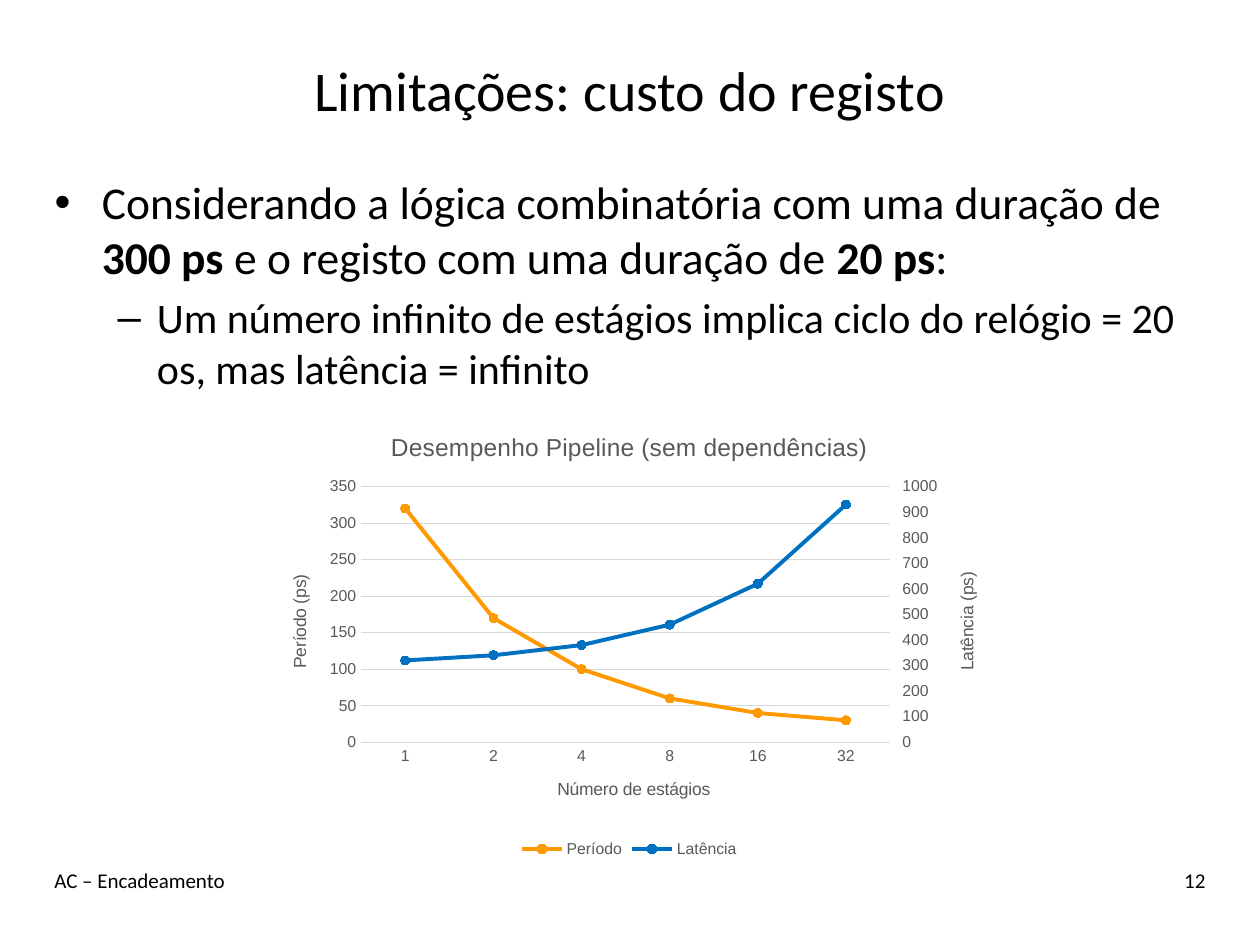
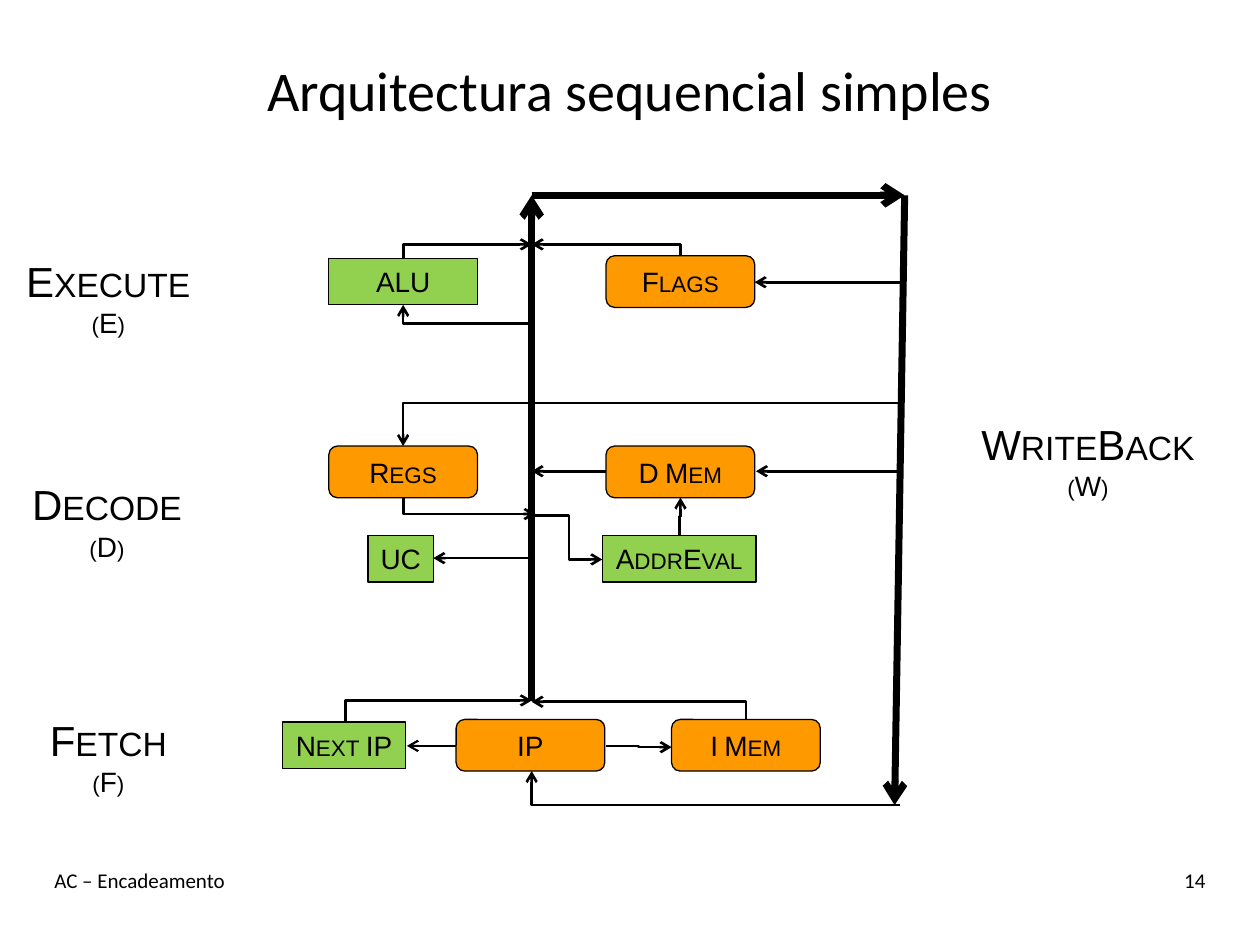
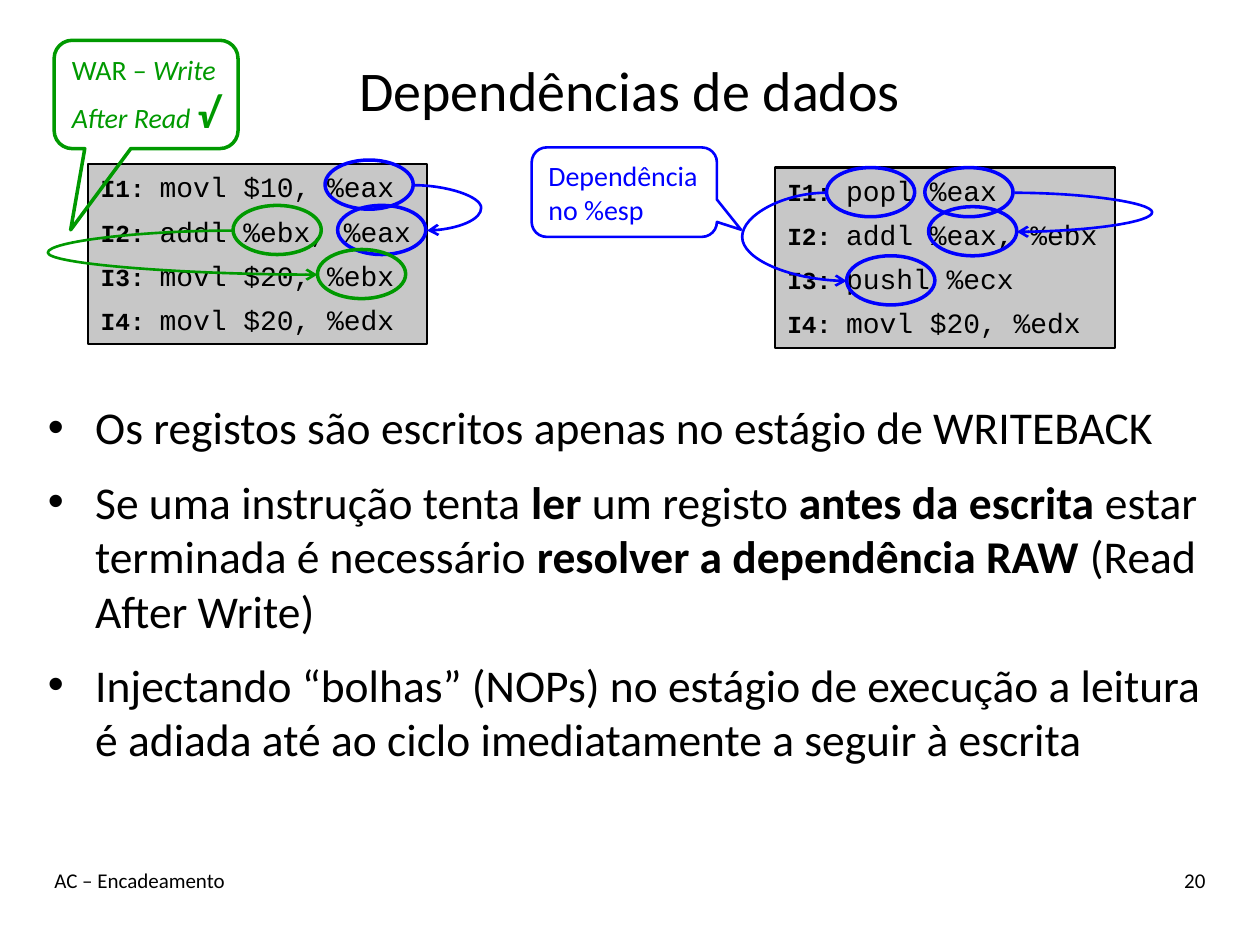
"""Build three computer architecture slides: a chart, a datapath and data dependencies."""
from copy import deepcopy
from dataclasses import dataclass
from typing import NamedTuple, Optional

from pptx import Presentation
from pptx.chart.axis import ValueAxis
from pptx.chart.data import CategoryChartData
from pptx.dml.color import RGBColor
from pptx.enum.chart import XL_CHART_TYPE, XL_LEGEND_POSITION, XL_MARKER_STYLE, XL_TICK_MARK
from pptx.enum.shapes import MSO_CONNECTOR, MSO_SHAPE
from pptx.enum.text import MSO_ANCHOR, MSO_AUTO_SIZE, PP_ALIGN
from pptx.oxml import parse_xml
from pptx.oxml.ns import nsdecls, qn
from pptx.oxml.xmlchemy import OxmlElement
from pptx.util import Inches, Pt

LEFT, CENTER, RIGHT = PP_ALIGN.LEFT, PP_ALIGN.CENTER, PP_ALIGN.RIGHT
TOP, MIDDLE = MSO_ANCHOR.TOP, MSO_ANCHOR.MIDDLE
RECTANGLE, ROUNDED, OVAL = MSO_SHAPE.RECTANGLE, MSO_SHAPE.ROUNDED_RECTANGLE, MSO_SHAPE.OVAL
CALLOUT = MSO_SHAPE.ROUNDED_RECTANGULAR_CALLOUT
LINE_MARKERS, CIRCLE = XL_CHART_TYPE.LINE_MARKERS, XL_MARKER_STYLE.CIRCLE
LEGEND_BOTTOM = XL_LEGEND_POSITION.BOTTOM
NO_TICK, OUTER_TICK = XL_TICK_MARK.NONE, XL_TICK_MARK.OUTSIDE
FIXED_SIZE = MSO_AUTO_SIZE.NONE
STRAIGHT, CORNER, ELBOW, CURVE = "line", "bentConnector2", "bentConnector3", "curvedConnector3"
CONNECTORS = {
    STRAIGHT: MSO_CONNECTOR.STRAIGHT,
    CORNER: MSO_CONNECTOR.ELBOW,
    ELBOW: MSO_CONNECTOR.ELBOW,
    CURVE: MSO_CONNECTOR.CURVE,
}
SLIDE_WIDTH, SLIDE_HEIGHT = Inches(10), Inches(7.5)
COLUMNS, ROWS = 100, 75
CONTENT_LAYOUT, TITLE_LAYOUT = 1, 5


@dataclass(frozen=True)
class Theme:
    """Colours, fonts and type sizes shared by the slides."""
    black: RGBColor = RGBColor(0, 0, 0)
    orange: RGBColor = RGBColor(0xFF, 0x99, 0x00)
    lime: RGBColor = RGBColor(0x92, 0xD0, 0x50)
    azure: RGBColor = RGBColor(0x00, 0x70, 0xC0)
    blue: RGBColor = RGBColor(0x00, 0x00, 0xFF)
    green: RGBColor = RGBColor(0x00, 0x99, 0x00)
    silver: RGBColor = RGBColor(0xC7, 0xC7, 0xC7)
    grid: RGBColor = RGBColor(0xD9, 0xD9, 0xD9)
    gray: RGBColor = RGBColor(0x59, 0x59, 0x59)
    text_font: str = "Calibri"
    diagram_font: str = "Arial"
    code_font: str = "Courier New"
    title: int = 32
    body: int = 26
    detail: int = 24
    stage: int = 24
    label: int = 16
    line_number: int = 14
    footer: int = 12
    chart_title: int = 14
    axis_title: int = 10
    tick: int = 9


THEME = Theme()


class Box(NamedTuple):
    """Area in grid columns and rows."""
    left: float
    top: float
    width: float
    height: float


class Point(NamedTuple):
    """Place in grid columns and rows."""
    x: float
    y: float


@dataclass(frozen=True)
class Style:
    """Look of a run of text."""
    font: str
    size: int
    color: RGBColor = THEME.black
    bold: bool = False
    italic: bool = False
    small_caps: bool = False


class Span(NamedTuple):
    """Text of one look, optionally started on a new line."""
    text: str
    style: Style
    new_line: bool = False


@dataclass(frozen=True)
class Arrow:
    """Connector with an arrowhead at its end."""
    start: Point
    end: Point
    kind: str = STRAIGHT
    vertical_first: bool = False
    width: float = 1.5
    color: RGBColor = THEME.black
    bulge: Optional[float] = None


BODY = Style(THEME.text_font, THEME.body)
STRONG = Style(THEME.text_font, THEME.body, bold=True)
DETAIL = Style(THEME.text_font, THEME.detail)
FOOTER = Style(THEME.text_font, THEME.footer)
UNIT = Style(THEME.diagram_font, THEME.label, small_caps=True)
ACRONYM = Style(THEME.diagram_font, THEME.label)


@dataclass(frozen=True)
class Block:
    """Unit of the datapath, either storage or logic."""
    text: str
    left: float
    top: float
    width: float = 11.8
    storage: bool = True
    style: Style = UNIT


@dataclass(frozen=True)
class Stage:
    """Name and letter of a processing stage."""
    name: str
    letter: str
    box: Box


def across(columns: float) -> int:
    """Turn grid columns into a length."""
    return round(SLIDE_WIDTH * columns / COLUMNS)


def down(rows: float) -> int:
    """Turn grid rows into a length."""
    return round(SLIDE_HEIGHT * rows / ROWS)


def place(box: Box) -> tuple:
    """Turn a box into left, top, width and height."""
    return across(box.left), down(box.top), across(box.width), down(box.height)


def add_spans(paragraph, spans: list, align=None) -> None:
    """Write spans into a paragraph."""
    paragraph.alignment = align
    for span in spans:
        if span.new_line:
            paragraph.add_line_break()
        run = paragraph.add_run()
        run.text = span.text
        font, style = run.font, span.style
        font.name, font.size, font.color.rgb = style.font, Pt(style.size), style.color
        font.bold, font.italic = style.bold, style.italic
        if style.small_caps:
            run._r.get_or_add_rPr().set("cap", "small")


def fill_frame(frame, lines: list, align=None, anchor=None, wrap: bool = True, after=None) -> None:
    """Write one paragraph for each list of spans."""
    frame.auto_size = FIXED_SIZE
    frame.word_wrap = wrap
    if anchor is not None:
        frame.vertical_anchor = anchor
    for index, spans in enumerate(lines):
        paragraph = frame.add_paragraph() if index else frame.paragraphs[0]
        add_spans(paragraph, spans, align)
        if after is not None:
            paragraph.space_after = Pt(after)


def add_text(slide, box: Box, lines: list, align=LEFT, wrap: bool = True) -> None:
    """Add a text box."""
    fill_frame(slide.shapes.add_textbox(*place(box)).text_frame, lines, align, TOP, wrap)


def add_figure(slide, preset, box: Box, line: RGBColor, width: float, fill=None):
    """Add a preset shape with an outline."""
    shape = slide.shapes.add_shape(preset, *place(box))
    shape.shadow.inherit = False
    if fill is None:
        shape.fill.background()
    else:
        shape.fill.solid()
        shape.fill.fore_color.rgb = fill
    shape.line.color.rgb = line
    shape.line.width = Pt(width)
    return shape


def add_arrow(slide, arrow: Arrow) -> None:
    """Draw an arrow, turned a quarter when it leaves vertically."""
    (x1, y1), (x2, y2) = arrow.start, arrow.end
    if arrow.vertical_first:
        middle_x, middle_y = (x1 + x2) / 2, (y1 + y2) / 2
        half_x, half_y = (y2 - y1) / 2, (x1 - x2) / 2
        x1, x2 = middle_x - half_x, middle_x + half_x
        y1, y2 = middle_y - half_y, middle_y + half_y
    connector = slide.shapes.add_connector(
        CONNECTORS[arrow.kind], across(x1), down(y1), across(x2), down(y2))
    connector.line.color.rgb = arrow.color
    connector.line.width = Pt(arrow.width)
    properties = connector._element.spPr
    if arrow.vertical_first:
        properties.find(qn("a:xfrm")).set("rot", "5400000")
    geometry = properties.find(qn("a:prstGeom"))
    geometry.set("prst", arrow.kind)
    if arrow.bulge is not None:
        guide = OxmlElement("a:gd")
        guide.set("name", "adj1")
        guide.set("fmla", f"val {round((arrow.bulge - x1) / (x2 - x1) * 100000)}")
        geometry.find(qn("a:avLst")).append(guide)
    head = OxmlElement("a:tailEnd")
    head.set("type", "arrow")
    properties.find(qn("a:ln")).append(head)
    properties.append(OxmlElement("a:effectLst"))


def add_slide(presentation, layout: int, title: str, number: int):
    """Add a slide with its title and footers."""
    slide = presentation.slides.add_slide(presentation.slide_layouts[layout])
    heading = slide.shapes.title
    heading.left, heading.top, heading.width, heading.height = place(Box(3.33, 2.5, 93.33, 9.17))
    fill_frame(heading.text_frame, [[Span(title, Style(THEME.text_font, THEME.title))]], CENTER, MIDDLE)
    add_text(slide, Box(3.33, 68.33, 70, 5), [[Span("AC – Encadeamento", FOOTER)]])
    add_text(slide, Box(83.33, 68.33, 13.33, 5), [[Span(str(number), FOOTER)]], RIGHT)
    return slide


def fill_body(slide, box: Box, lines: list, after=None):
    """Move and fill the body placeholder."""
    body = slide.placeholders[1]
    body.left, body.top, body.width, body.height = place(box)
    fill_frame(body.text_frame, lines, after=after)
    return body.text_frame


def format_axis(axis, title: str) -> None:
    """Give an axis its title, ticks and labels."""
    style = Style(THEME.diagram_font, THEME.axis_title, THEME.gray)
    add_spans(axis.axis_title.text_frame.paragraphs[0], [Span(title, style)])
    axis.major_tick_mark = axis.minor_tick_mark = NO_TICK
    format_font(axis.tick_labels.font)


def format_font(font) -> None:
    """Set the small chart font."""
    font.name, font.size, font.color.rgb = THEME.diagram_font, Pt(THEME.tick), THEME.gray


def format_scale(axis, maximum: int, unit: int) -> None:
    """Start a value axis at zero and fix its steps."""
    axis.minimum_scale, axis.maximum_scale, axis.major_unit = 0, maximum, unit


def add_second_axis(plot_area, title: str) -> None:
    """Move the last series to a value axis on the right."""
    lines, categories, values = (plot_area.find(qn(f"c:{tag}")) for tag in ("lineChart", "catAx", "valAx"))
    right_lines, right_categories, right_values = map(deepcopy, (lines, categories, values))
    lines.remove(lines.findall(qn("c:ser"))[1])
    right_lines.remove(right_lines.find(qn("c:ser")))
    category_id, value_id = "50010", "50020"
    for element, identifier in zip(right_lines.findall(qn("c:axId")), (category_id, value_id)):
        element.set("val", identifier)
    for axis, own, crossed in ((right_categories, category_id, value_id), (right_values, value_id, category_id)):
        axis.find(qn("c:axId")).set("val", own)
        axis.find(qn("c:crossAx")).set("val", crossed)
    right_categories.find(qn("c:delete")).set("val", "1")
    right_categories.remove(right_categories.find(qn("c:title")))
    right_values.find(qn("c:axPos")).set("val", "r")
    right_values.find(qn("c:crosses")).set("val", "max")
    lines.addnext(right_lines)
    values.addnext(right_values)
    right_values.addnext(right_categories)
    axis = ValueAxis(right_values)
    axis.has_major_gridlines = False
    axis.major_tick_mark = OUTER_TICK
    axis.axis_title.text_frame.paragraphs[0].runs[0].text = title
    format_scale(axis, 1000, 100)


def add_performance_chart(slide) -> None:
    """Add the chart of period and latency by number of stages."""
    data = CategoryChartData()
    data.categories = ["1", "2", "4", "8", "16", "32"]
    data.add_series("Período", (320, 170, 100, 60, 40, 30))
    data.add_series("Latência", (320, 340, 380, 460, 620, 930))
    chart = slide.shapes.add_chart(LINE_MARKERS, *place(Box(20.8, 32.6, 58.3, 35.9)), data).chart
    chart.font.name, chart.font.size = THEME.diagram_font, Pt(THEME.axis_title)
    chart.has_title = True
    title_style = Style(THEME.diagram_font, THEME.chart_title, THEME.gray)
    add_spans(chart.chart_title.text_frame.paragraphs[0],
              [Span("Desempenho Pipeline (sem dependências)", title_style)])
    chart.has_legend = True
    chart.legend.position = LEGEND_BOTTOM
    chart.legend.include_in_layout = False
    format_font(chart.legend.font)
    chart.plots[0].vary_by_categories = False
    for series, color in zip(chart.plots[0].series, (THEME.orange, THEME.azure)):
        series.smooth = False
        series.format.line.color.rgb = color
        series.format.line.width = Pt(2.25)
        series.marker.style, series.marker.size = CIRCLE, 5
        series.marker.format.fill.solid()
        series.marker.format.fill.fore_color.rgb = color
        series.marker.format.line.color.rgb = color
    values, categories = chart.value_axis, chart.category_axis
    format_axis(categories, "Número de estágios")
    format_axis(values, "Período (ps)")
    rotation = values.axis_title.text_frame._txBody.find(qn("a:bodyPr"))
    rotation.set("rot", "-5400000")
    rotation.set("vert", "horz")
    format_scale(values, 350, 50)
    values.format.line.fill.background()
    for line in (categories.format.line, values.major_gridlines.format.line):
        line.color.rgb = THEME.grid
        line.width = Pt(0.75)
    plot_area = chart._chartSpace.chart.plotArea
    add_second_axis(plot_area, "Latência (ps)")
    layout = plot_area.find(qn("c:layout"))
    if layout is not None:
        plot_area.remove(layout)
    shares = "".join(f'<c:{tag} val="{share}"/>' for tag, share in (
        ("layoutTarget", "inner"), ("xMode", "edge"), ("yMode", "edge"),
        ("x", 0.135), ("y", 0.168), ("w", 0.72), ("h", 0.565)))
    plot_area.insert(0, parse_xml(
        f'<c:layout {nsdecls("c")}><c:manualLayout>{shares}</c:manualLayout></c:layout>'))


def build_cost_slide(presentation) -> None:
    """Build the slide on the cost of the register."""
    slide = add_slide(presentation, CONTENT_LAYOUT, "Limitações: custo do registo", 12)
    frame = fill_body(slide, Box(3.33, 13.33, 93.33, 19.4), [
        [Span("Considerando a lógica combinatória com uma duração de ", BODY), Span("300 ps ", STRONG),
         Span("e o registo com uma duração de ", BODY), Span("20 ps", STRONG), Span(":", BODY)],
        [Span("Um número infinito de estágios implica ciclo do relógio = 20 os, mas latência = infinito", DETAIL)],
    ])
    frame.paragraphs[1].level = 1
    add_performance_chart(slide)


def add_block(slide, block: Block) -> None:
    """Draw a datapath unit with its label centred."""
    preset, fill, height = (ROUNDED, THEME.orange, 4.1) if block.storage else (RECTANGLE, THEME.lime, 3.7)
    shape = add_figure(slide, preset, Box(block.left, block.top, block.width, height), THEME.black, 0.75, fill)
    fill_frame(shape.text_frame, [[Span(block.text, block.style)]], CENTER, MIDDLE, block.storage)


def build_datapath_slide(presentation) -> None:
    """Build the diagram of the sequential architecture."""
    slide = add_slide(presentation, TITLE_LAYOUT, "Arquitectura sequencial simples", 14)
    bus, regs, write = 42.2, 32, 71.4
    blocks = [
        Block("IP", 36.2, 57.1, style=ACRONYM), Block("I Mem", 53.3, 57.1), Block("Next IP", 22.4, 57.3, 9.8, False),
        Block("UC", 29.2, 42.5, 5.2, False, ACRONYM), Block("D Mem", 48.1, 35.4), Block("Regs", 26.1, 35.4),
        Block("ALU", 26.1, 20.5, storage=False, style=ACRONYM), Block("Flags", 48.1, 20.3),
        Block("AddrEval", 47.8, 42.5, 12.2, False),
    ]
    arrows = [
        Arrow(Point(48.1, 59.2), Point(53.3, 59.3), ELBOW),
        Arrow(Point(36.2, 59.2), Point(32.3, 59.2), ELBOW, width=1.25),
        Arrow(Point(bus, 55.6), Point(bus, 15.5), width=4),
        Arrow(Point(27.4, 57.3), Point(bus, 55.6), CORNER, True),
        Arrow(Point(59.2, 57.1), Point(bus, 55.7), CORNER, True),
        Arrow(Point(42.5, 44.3), Point(34.4, 44.3), ELBOW),
        Arrow(Point(regs, 39.5), Point(42.5, 40.8), CORNER, True),
        Arrow(Point(48.1, 37.4), Point(bus, 37.4), ELBOW),
        Arrow(Point(42.5, 40.9), Point(47.8, 44.4), ELBOW),
        Arrow(Point(bus, 25.7), Point(regs, 24.2), CORNER),
        Arrow(Point(regs, 20.5), Point(bus, 19.4), CORNER, True),
        Arrow(Point(54, 20.3), Point(bus, 19.4), CORNER, True),
        Arrow(Point(bus, 15.5), Point(71.8, 15.5), width=4),
        Arrow(Point(71.8, 15.5), Point(71, 63.9), width=4),
        Arrow(Point(71.8, 22.4), Point(59.9, 22.4)),
        Arrow(Point(write, 37.4), Point(60, 37.4)),
        Arrow(Point(write, 32), Point(regs, 35.4), CORNER),
        Arrow(Point(write, 63.9), Point(bus, 61.2), CORNER),
        Arrow(Point(53.9, 42.5), Point(54, 39.5), ELBOW, True),
    ]
    stages = [
        Stage("Fetch", "F", Box(2.9, 56.2, 11.4, 7.7)), Stage("Decode", "D", Box(1.5, 37.5, 14, 7.7)),
        Stage("Execute", "E", Box(1, 19.8, 15.2, 7.7)), Stage("WriteBack", "W", Box(76.8, 32.7, 19.1, 7.7)),
    ]
    for block in blocks:
        add_block(slide, block)
    for arrow in arrows:
        add_arrow(slide, arrow)
    name_style = Style(THEME.diagram_font, THEME.stage, small_caps=True)
    for stage in stages:
        add_text(slide, stage.box, [[Span(stage.name, name_style)], [Span(f"({stage.letter})", UNIT)]], CENTER, False)


def add_code(slide, box: Box, instructions: list) -> None:
    """Add a listing of numbered instructions."""
    number = Style(THEME.code_font, THEME.line_number, bold=True)
    code = Style(THEME.code_font, THEME.label)
    lines = [[Span(f"I{index}: ", number), Span(text, code)] for index, text in enumerate(instructions, 1)]
    shape = add_figure(slide, RECTANGLE, box, THEME.black, 1.25, THEME.silver)
    fill_frame(shape.text_frame, lines, LEFT, TOP, False, 6)


def add_callout(slide, box: Box, tip: tuple, color: RGBColor, width: float, lines: list) -> None:
    """Add a speech bubble whose tip is given in shares of its size."""
    shape = add_figure(slide, CALLOUT, box, color, width)
    shape.adjustments[0], shape.adjustments[1] = tip
    fill_frame(shape.text_frame, lines, LEFT, MIDDLE, False)


def build_dependency_slide(presentation) -> None:
    """Build the slide on data dependencies."""
    slide = add_slide(presentation, CONTENT_LAYOUT, "Dependências de dados", 20)
    fill_body(slide, Box(2.8, 31.2, 95.3, 33), [
        [Span("Os registos são escritos apenas no estágio de WRITEBACK", BODY)],
        [Span("Se uma instrução tenta ", BODY), Span("ler", STRONG), Span(" um registo ", BODY),
         Span("antes da escrita ", STRONG), Span("estar terminada é necessário ", BODY),
         Span("resolver a dependência RAW", STRONG), Span(" (Read After Write)", BODY)],
        [Span("Injectando “bolhas” (NOPs) no estágio de execução a leitura é adiada até ao ciclo "
              "imediatamente a seguir à escrita", BODY)],
    ], 6)
    add_code(slide, Box(7, 13, 26.9, 14.3),
             ["movl $10, %eax", "addl %ebx, %eax", "movl $20, %ebx", "movl $20, %edx"])
    add_code(slide, Box(61.5, 13.3, 27, 14.3),
             ["popl %eax", "addl %eax, %ebx", "pushl %ecx", "movl $20, %edx"])
    blue, green = THEME.blue, THEME.green
    marks = [(25.8, 12.7, blue), (26.8, 16.3, blue), (73.4, 13.3, blue), (73.7, 16.4, blue),
             (65.6, 13.3, blue), (67.2, 20.3, blue), (18.5, 16.3, green), (25.2, 19.8, green)]
    for left, top, color in marks:
        add_figure(slide, OVAL, Box(left, top, 7, 3.9), color, 2)
    for start, end, bulge, color in (
            (Point(32.8, 14.7), Point(33.9, 18.3), 38.2, blue),
            (Point(80.5, 15.3), Point(80.7, 18.4), 91.4, blue),
            (Point(65.6, 15.3), Point(67.2, 22.3), 58.9, blue),
            (Point(18.5, 18.3), Point(25.2, 21.8), 3.8, green)):
        add_arrow(slide, Arrow(start, end, CURVE, color=color, bulge=bulge))
    note = Style(THEME.text_font, THEME.label, blue)
    add_callout(slide, Box(42.2, 11.7, 14.7, 7.1), (0.63, 0.42), blue, 1.5,
                [[Span("Dependência", note)], [Span("no %esp", note)]])
    plain = Style(THEME.text_font, THEME.label, green)
    slanted = Style(THEME.text_font, THEME.label, green, italic=True)
    tick = Style(THEME.text_font, THEME.detail, green, bold=True, italic=True)
    add_callout(slide, Box(4.3, 3.2, 14.6, 8.6), (-0.41, 1.25), green, 2,
                [[Span("WAR – ", plain), Span("Write", slanted), Span("After Read ", slanted, True),
                  Span("√", tick)]])


def main() -> None:
    """Build and save the presentation."""
    presentation = Presentation()
    presentation.slide_width, presentation.slide_height = SLIDE_WIDTH, SLIDE_HEIGHT
    build_cost_slide(presentation)
    build_datapath_slide(presentation)
    build_dependency_slide(presentation)
    presentation.save("out.pptx")


main()
